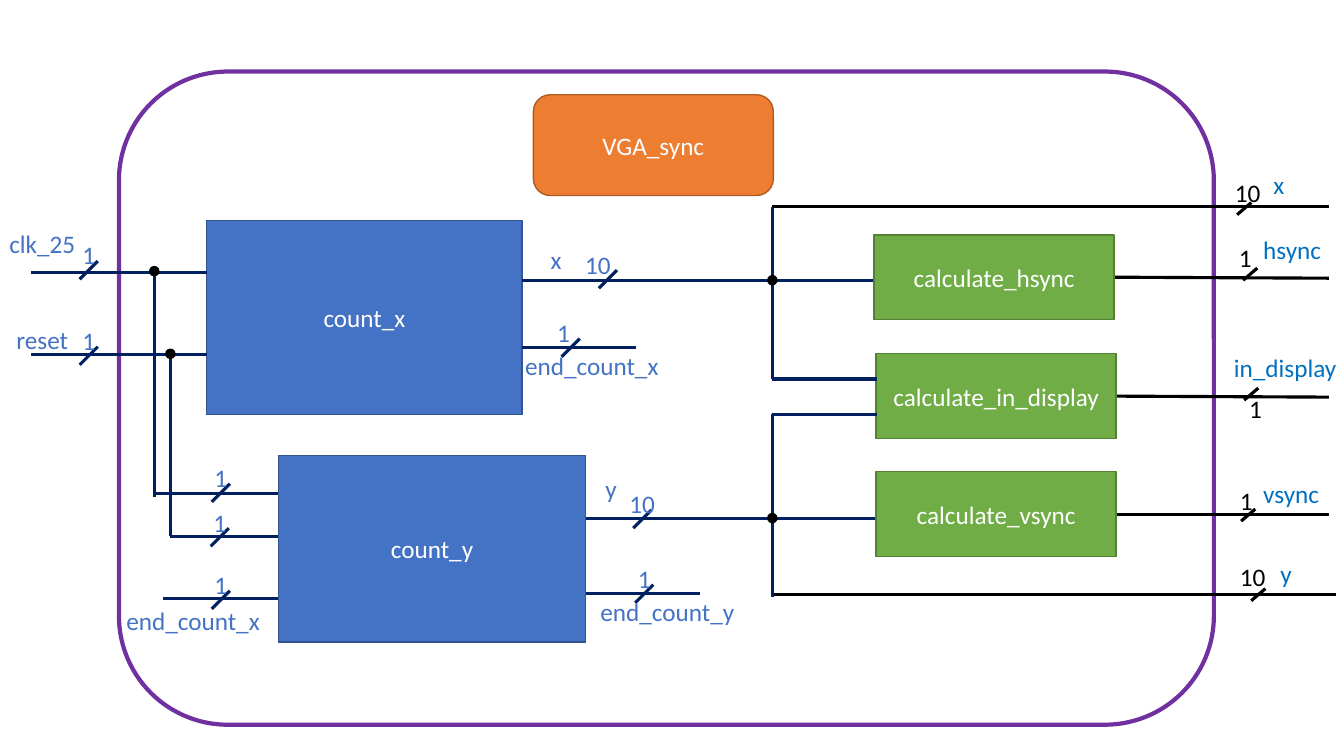
from collections import namedtuple

from lxml import etree
from pptx import Presentation
from pptx.dml.color import RGBColor
from pptx.enum.shapes import MSO_CONNECTOR, MSO_SHAPE
from pptx.enum.text import MSO_ANCHOR, MSO_AUTO_SIZE, PP_ALIGN
from pptx.oxml.ns import qn
from pptx.util import Inches, Pt

STRAIGHT = MSO_CONNECTOR.STRAIGHT
RECTANGLE, ROUNDED, OVAL = MSO_SHAPE.RECTANGLE, MSO_SHAPE.ROUNDED_RECTANGLE, MSO_SHAPE.OVAL
LEFT, CENTER = PP_ALIGN.LEFT, PP_ALIGN.CENTER
MIDDLE, GROW = MSO_ANCHOR.MIDDLE, MSO_AUTO_SIZE.SHAPE_TO_FIT_TEXT
RIGHT_SIDE = 3

COLORS = {
    "white": "FFFFFF", "black": "000000", "navy": "002060", "frame": "7030A0",
    "title": "ED7D31", "title_edge": "AF5C24",
    "counter": "4472C4", "counter_edge": "325491",
    "logic": "70AD47", "logic_edge": "538035", "output": "0070C0",
}
TEXT_HEIGHT = 0.4

Box = namedtuple("Box", "left top width height")
# Positions in ports and outputs are relative to the corner of their region
Port = namedtuple("Port", "y start end slash bits shift name label")
Output = namedtuple("Output", "y start end slash bits bits_at name label")


def color(name):
    return RGBColor.from_string(COLORS[name])


def write(frame, text, ink="white", align=CENTER):
    para = frame.paragraphs[0]
    para.alignment = align
    span = para.add_run()
    span.text = text
    span.font.name, span.font.size = "Calibri", Pt(18)
    span.font.color.rgb = color(ink)


def add_label(page, text, left, top, width, ink="counter", align=CENTER, wrap=True):
    label = page.shapes.add_textbox(
        Inches(left), Inches(top), Inches(width), Inches(TEXT_HEIGHT))
    label.text_frame.word_wrap = wrap
    label.text_frame.auto_size = GROW
    write(label.text_frame, text, ink, align)


def add_block(page, box, fill, edge, text="", kind=RECTANGLE, weight=1):
    block = page.shapes.add_shape(kind, *map(Inches, box))
    block.shadow.inherit = False
    block.fill.solid()
    block.fill.fore_color.rgb = color(fill)
    block.line.color.rgb = color(edge)
    block.line.width = Pt(weight)
    if text:
        block.text_frame.vertical_anchor = MIDDLE
        block.text_frame.word_wrap = True
        write(block.text_frame, text)
    return block


def add_wire(page, x1, y1, x2, y2, ink="navy"):
    wire = page.shapes.add_connector(STRAIGHT, *map(Inches, (x1, y1, x2, y2)))
    wire.line.color.rgb = color(ink)
    wire.line.width = Pt(2.25)
    etree.SubElement(wire._element.spPr, qn("a:effectLst"))
    return wire


def add_slash(page, x, y, width=0.18, height=0.18, ink="navy"):
    add_wire(page, x - width / 2, y + height / 2, x + width / 2, y - height / 2, ink)


def add_junction(page, x, y):
    size = 0.09
    dot = Box(x - size / 2, y - size / 2, size, size)
    add_block(page, dot, "black", "black", kind=OVAL)


def add_module(page, box):
    """Outer frame with its title."""
    add_block(page, box, "white", "frame", kind=ROUNDED, weight=3)
    title = Box(box.left + 4.11, box.top + 0.23, 2.38, 1)
    add_block(page, title, "title", "title_edge", "VGA_sync", ROUNDED)


def add_counter(page, box, name, ports):
    """Counter block with its input and output wires."""
    add_block(page, box, "counter", "counter_edge", name)
    for port in ports:
        y = box.top + port.y
        add_wire(page, box.left + port.start, y, box.left + port.end, y)
        slash_x, slash_y = box.left + port.slash[0], box.top + port.slash[1]
        add_slash(page, slash_x, slash_y)
        add_label(page, port.bits, slash_x - 0.24 + port.shift, slash_y - 0.35, 0.48)
        if port.name:
            left, top, width = port.label
            add_label(page, port.name, box.left + left, box.top + top, width)


def add_branches(page, box):
    """Clock and reset taken from count_x down to count_y."""
    for shift, top, bottom in ((0, 0, 2.23), (0.16, 0.82, 2.62)):
        x = box.left + shift
        add_wire(page, x, box.top + top, x, box.top + bottom)
        add_junction(page, x, box.top + top - 0.01)


def add_distribution(page, box):
    """Vertical lines that share x and y among the logic blocks."""
    x, top = box.left, box.top
    add_wire(page, x, top, x, top + 1.71)
    add_wire(page, x, top + 2.06, x, top + box.height)
    for y in (1.71, 2.06):
        add_wire(page, x, top + y, x + box.width, top + y)
    for y in (0.73, 3.09):
        add_junction(page, x, top + y)


def add_outputs(page, box, outputs):
    """Output wires on the right, those of logic blocks joined to them."""
    logic = {
        "hsync": ("calculate_hsync", 1.01, 0.28),
        "in_display": ("calculate_in_display", 1.03, 1.46),
        "vsync": ("calculate_vsync", 1.03, 2.63),
    }
    for output in outputs:
        y = box.top + output.y
        wire = add_wire(page, box.left + output.start, y,
                        box.left + output.end, y, "black")
        if output.name in logic:
            text, left, top = logic[output.name]
            place = Box(box.left + left, box.top + top, 2.38, 0.84)
            block = add_block(page, place, "logic", "logic_edge", text)
            wire.begin_connect(block, RIGHT_SIDE)
        slash_x, slash_y = output.slash
        add_slash(page, box.left + slash_x, box.top + slash_y, 0.14, 0.12, "black")
        left, top = output.bits_at
        add_label(page, output.bits, box.left + left, box.top + top,
                  0.2 + 0.13 * len(output.bits), "black", LEFT, wrap=False)
        left, top, width = output.label
        add_label(page, output.name, box.left + left, box.top + top, width, "output", LEFT)


X_PORTS = [
    Port(0.51, -1.74, 0, (-1.17, 0.49), "1", 0, "clk_25", (-2.13, 0.03, 1)),
    Port(1.33, -1.74, 0, (-1.17, 1.34), "1", 0, "reset", (-2.05, 0.98, 0.84)),
    Port(0.59, 3.13, 6.62, (3.98, 0.58), "10", -0.1, "x", (3.2, 0.18, 0.53)),
    Port(1.26, 3.13, 4.26, (3.61, 1.26), "1", -0.07, "end_count_x", (2.9, 1.24, 1.84)),
]
Y_PORTS = [
    Port(0.38, -1.23, 0, (-0.57, 0.37), "1", 0, "", None),
    Port(0.8, -1.07, 0, (-0.58, 0.81), "1", 0, "", None),
    Port(1.42, -1.14, 0, (-0.57, 1.43), "1", 0, "end_count_x", (-1.67, 1.44, 1.65)),
    Port(0.62, 3.05, 5.93, (3.61, 0.63), "10", 0, "y", (2.88, 0.13, 0.84)),
    Port(1.37, 3.05, 4.18, (3.63, 1.37), "1", 0, "end_count_y", (2.55, 1.35, 2.62)),
]
OUTPUTS = [
    Output(0, 0, 5.52, (4.68, 0.02), "10", (4.49, -0.34), "x", (4.87, -0.42, 0.45)),
    Output(0.71, 3.39, 5.52, (4.74, 0.67), "1", (4.53, 0.3), "hsync", (4.77, 0.23, 1.03)),
    Output(1.89, 3.42, 5.52, (4.75, 1.86), "1", (4.63, 1.8), "in_display", (4.48, 1.4, 1.6)),
    Output(3.05, 3.42, 5.52, (4.72, 3.06), "1", (4.54, 2.72), "vsync", (4.77, 2.65, 1.03)),
    Output(3.85, 0, 5.59, (4.82, 3.85), "10", (4.54, 3.47), "y", (4.94, 3.44, 0.45)),
]


def main():
    deck = Presentation()
    deck.slide_width, deck.slide_height = Inches(13.33), Inches(7.5)
    page = deck.slides.add_slide(deck.slide_layouts[6])
    add_module(page, Box(1.18, 0.71, 10.86, 6.48))
    add_counter(page, Box(2.05, 2.19, 3.13, 1.92), "count_x", X_PORTS)
    add_counter(page, Box(2.76, 4.52, 3.05, 1.85), "count_y", Y_PORTS)
    add_branches(page, Box(1.53, 2.7, 0.16, 2.62))
    add_outputs(page, Box(7.66, 2.05, 5.59, 3.85), OUTPUTS)
    add_distribution(page, Box(7.66, 2.05, 1.04, 3.87))
    deck.save("out.pptx")


if __name__ == "__main__":
    main()
